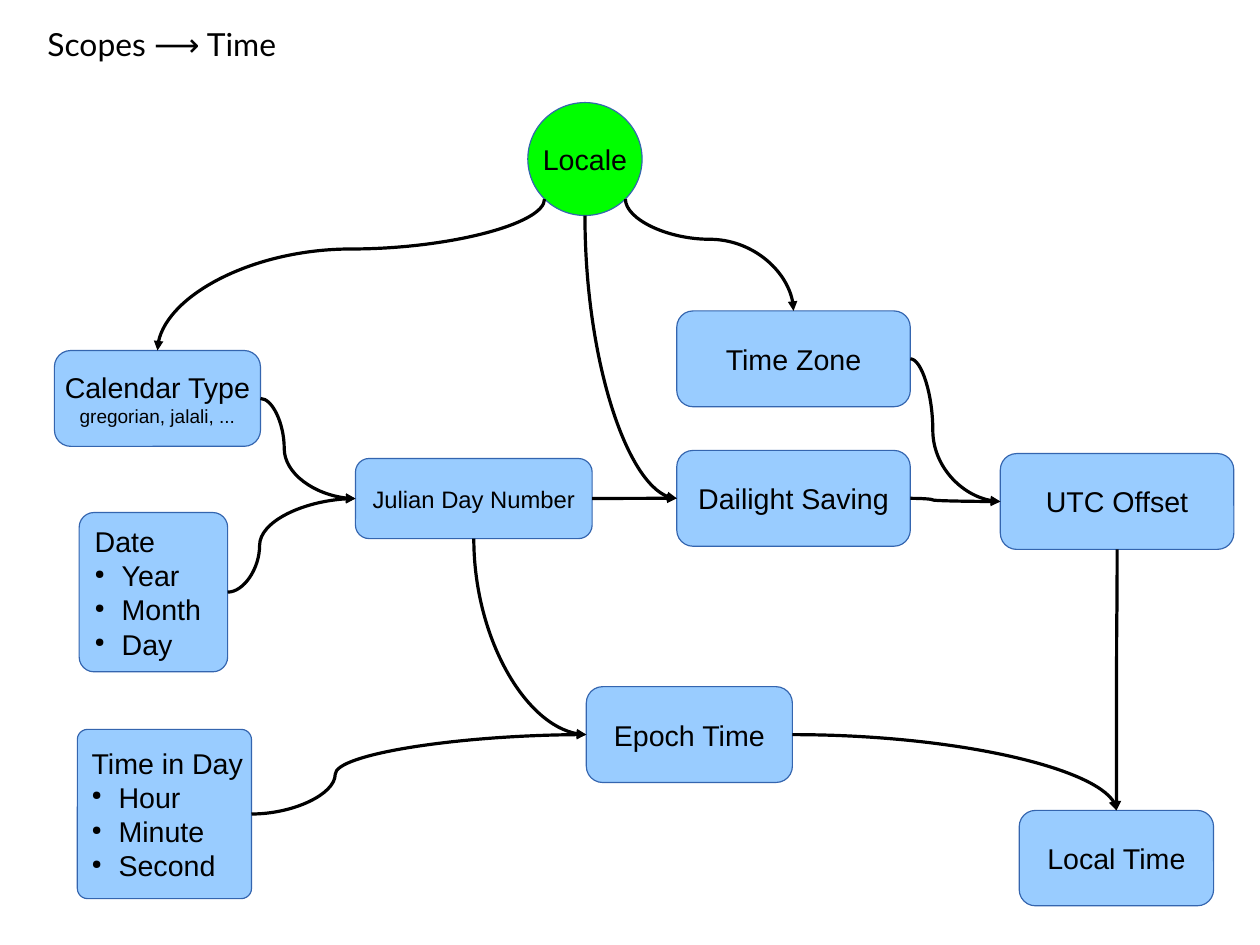
from lxml import etree
from pptx import Presentation
from pptx.dml.color import RGBColor
from pptx.enum.shapes import MSO_CONNECTOR, MSO_SHAPE
from pptx.enum.text import MSO_ANCHOR, MSO_AUTO_SIZE, PP_ALIGN
from pptx.oxml.ns import qn
from pptx.util import Cm, Pt

ROUND, OVAL = MSO_SHAPE.ROUNDED_RECTANGLE, MSO_SHAPE.OVAL
CURVE = MSO_CONNECTOR.CURVE
TOP, MIDDLE = MSO_ANCHOR.TOP, MSO_ANCHOR.MIDDLE
LEFT, CENTER = PP_ALIGN.LEFT, PP_ALIGN.CENTER
FIXED = MSO_AUTO_SIZE.NONE

COLORS = {"text": "000000", "box": "99CCFF", "locale": "00FF00", "edge": "3465AF"}
COLORS = {name: RGBColor.from_string(code) for name, code in COLORS.items()}


def write(para, text, size=18, font="Arial", align=CENTER, bullet=False):
    """Add a run to a paragraph, with a bullet in front if wanted."""
    para.alignment = align
    if bullet:
        props = para._p.get_or_add_pPr()
        props.set("marL", str(Cm(0.6)))
        props.set("indent", str(Cm(-0.6)))
        tint = etree.SubElement(props, qn("a:buClr"))
        etree.SubElement(tint, qn("a:srgbClr"), val=str(COLORS["text"]))
        etree.SubElement(props, qn("a:buSzPct"), val="45000")
        etree.SubElement(props, qn("a:buChar"), char="●")
    run = para.add_run()
    run.text = text
    run.font.size = Pt(size)
    run.font.name = font
    run.font.color.rgb = COLORS["text"]


deck = Presentation()
deck.slide_width, deck.slide_height = Cm(28), Cm(21)
slide = deck.slides.add_slide(deck.slide_layouts[5])

# Title
title = slide.shapes.title
title.left, title.top, title.width, title.height = Cm(0.8), Cm(0.43), Cm(5.77), Cm(1.42)
frame = title.text_frame
frame.word_wrap = False
frame.auto_size = FIXED
frame.vertical_anchor = TOP
for text, font in (("Scopes ", "Lato"), ("⟶ ", "Arial Narrow"), ("Time", "Lato")):
    write(frame.paragraphs[0], text, size=20, font=font, align=LEFT)

# Boxes: left, top, width, height, corner, lines of (text, size)
NODES = {
    "date": (1.76, 11.39, 3.3, 3.54, 0.1,
             [("Date", 18), ("Year", 18), ("Month", 18), ("Day", 18)]),
    "julian": (7.9, 10.19, 5.26, 1.78, 0.17, [("Julian Day Number", 15)]),
    "type": (1.21, 7.79, 4.58, 2.13, 0.17,
             [("Calendar Type", 18), ("gregorian, jalali, ...", 12)]),
    "clock": (1.72, 16.21, 3.87, 3.76, 0.06,
              [("Time in Day", 18), ("Hour", 18), ("Minute", 18), ("Second", 18)]),
    "epoch": (13.03, 15.26, 4.58, 2.13, 0.17, [("Epoch Time", 18)]),
    "saving": (15.04, 10.01, 5.19, 2.13, 0.17, [("Dailight Saving", 18)]),
    "zone": (15.04, 6.91, 5.19, 2.13, 0.17, [("Time Zone", 18)]),
    "locale": (11.73, 2.28, 2.54, 2.51, None, [("Locale", 18)]),
    "offset": (22.23, 10.08, 5.19, 2.13, 0.17, [("UTC Offset", 18)]),
    "local": (22.65, 18.01, 4.32, 2.12, 0.17, [("Local Time", 18)]),
}
boxes = {}
for name, (x, y, wide, high, corner, lines) in NODES.items():
    kind = OVAL if corner is None else ROUND
    box = slide.shapes.add_shape(kind, Cm(x), Cm(y), Cm(wide), Cm(high))
    if corner is not None:
        box.adjustments[0] = corner
    box.shadow.inherit = False
    box.fill.solid()
    box.fill.fore_color.rgb = COLORS["locale" if name == "locale" else "box"]
    box.line.color.rgb = COLORS["edge"]
    box.line.width = Pt(0)
    frame = box.text_frame
    frame.word_wrap = False
    frame.vertical_anchor = MIDDLE
    listed = name in ("date", "clock")
    for row, (text, size) in enumerate(lines):
        para = frame.add_paragraph() if row else frame.paragraphs[0]
        write(para, text, size=size, align=LEFT if listed else CENTER,
              bullet=listed and row > 0)
    boxes[name] = box

# Sites: share of width, share of height, site number
SITES = {
    "top": (0.5, 0, 0), "left": (0, 0.5, 1), "bottom": (0.5, 1, 2), "right": (1, 0.5, 3),
    "oval sw": (0.146, 0.854, 3), "oval south": (0.5, 1, 4), "oval se": (0.854, 0.854, 5),
}
# Arrows: start, its site, end, its site, bend
LINKS = [
    ("date", "right", "julian", "left", 0.25),
    ("type", "right", "julian", "left", 0.25),
    ("clock", "right", "epoch", "left", 0.25),
    ("julian", "bottom", "epoch", "left", None),
    ("julian", "right", "saving", "left", 0.25),
    ("locale", "oval sw", "type", "top", 0.33),
    ("locale", "oval se", "zone", "top", 0.36),
    ("locale", "oval south", "saving", "left", None),
    ("zone", "right", "offset", "left", 0.25),
    ("saving", "right", "offset", "left", 0.25),
    ("epoch", "right", "local", "top", None),
    ("offset", "bottom", "local", "top", 0.25),
]
for start, exit, end, entry, bend in LINKS:
    ends = []
    for name, site in ((start, exit), (end, entry)):
        box, (across, down, _) = boxes[name], SITES[site]
        ends += [int(box.left + across * box.width), int(box.top + down * box.height)]
    x1, y1, x2, y2 = ends
    turned = exit != "right"
    right = x2 > x1
    if turned:  # a downward start is a sideways curve, rotated about its centre
        midx, midy = (x1 + x2) // 2, (y1 + y2) // 2
        halfx, halfy = (y2 - y1) // 2, abs(x2 - x1) // 2
        side = -1 if right else 1
        x1, x2 = midx - side * halfx, midx + side * halfx
        y1, y2 = midy - halfy, midy + halfy
    arrow = slide.shapes.add_connector(CURVE, x1, y1, x2, y2)
    arrow.line.color.rgb = COLORS["text"]
    arrow.line.width = Pt(0)
    props = arrow.element.spPr
    if turned:
        props.find(qn("a:xfrm")).set("rot", str((270 if right else 90) * 60000))
    shape = props.find(qn("a:prstGeom"))
    if bend is None:
        shape.set("prst", "curvedConnector2")
    else:
        etree.SubElement(shape.find(qn("a:avLst")), qn("a:gd"),
                         name="adj1", fmla=f"val {round(bend * 100000)}")
    etree.SubElement(props.find(qn("a:ln")), qn("a:tailEnd"), type="triangle")
    etree.SubElement(props, qn("a:effectLst"))
    glue = arrow.element.find(".//" + qn("p:cNvCxnSpPr"))
    for tag, name, site in (("a:stCxn", start, exit), ("a:endCxn", end, entry)):
        etree.SubElement(glue, qn(tag), id=str(boxes[name].shape_id), idx=str(SITES[site][2]))

deck.save("out.pptx")
